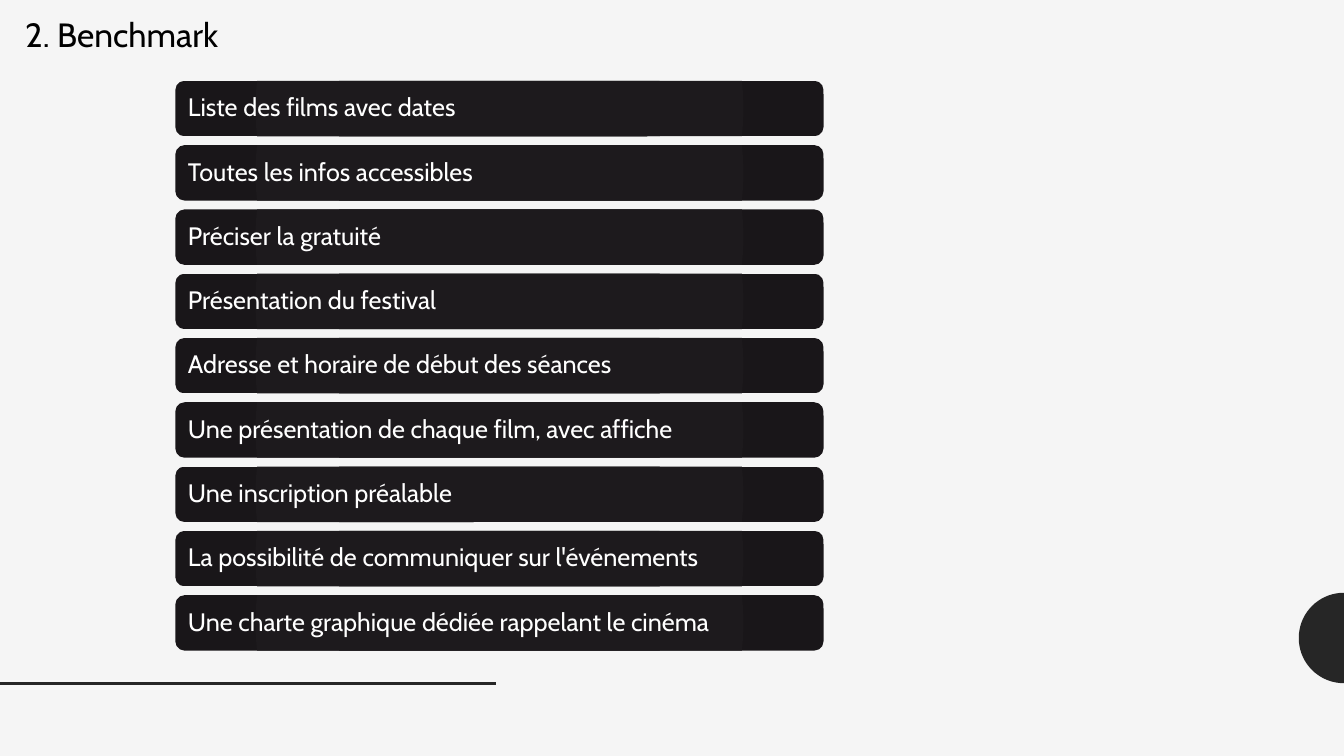
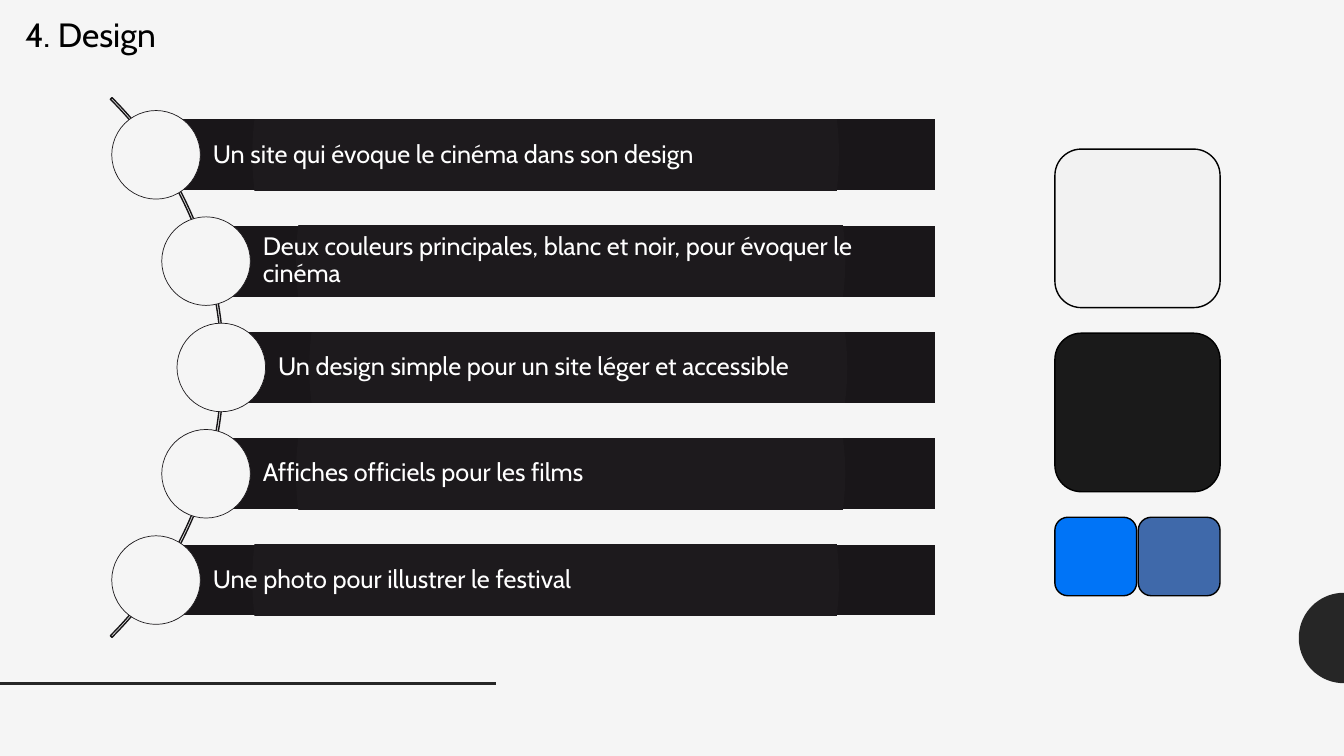
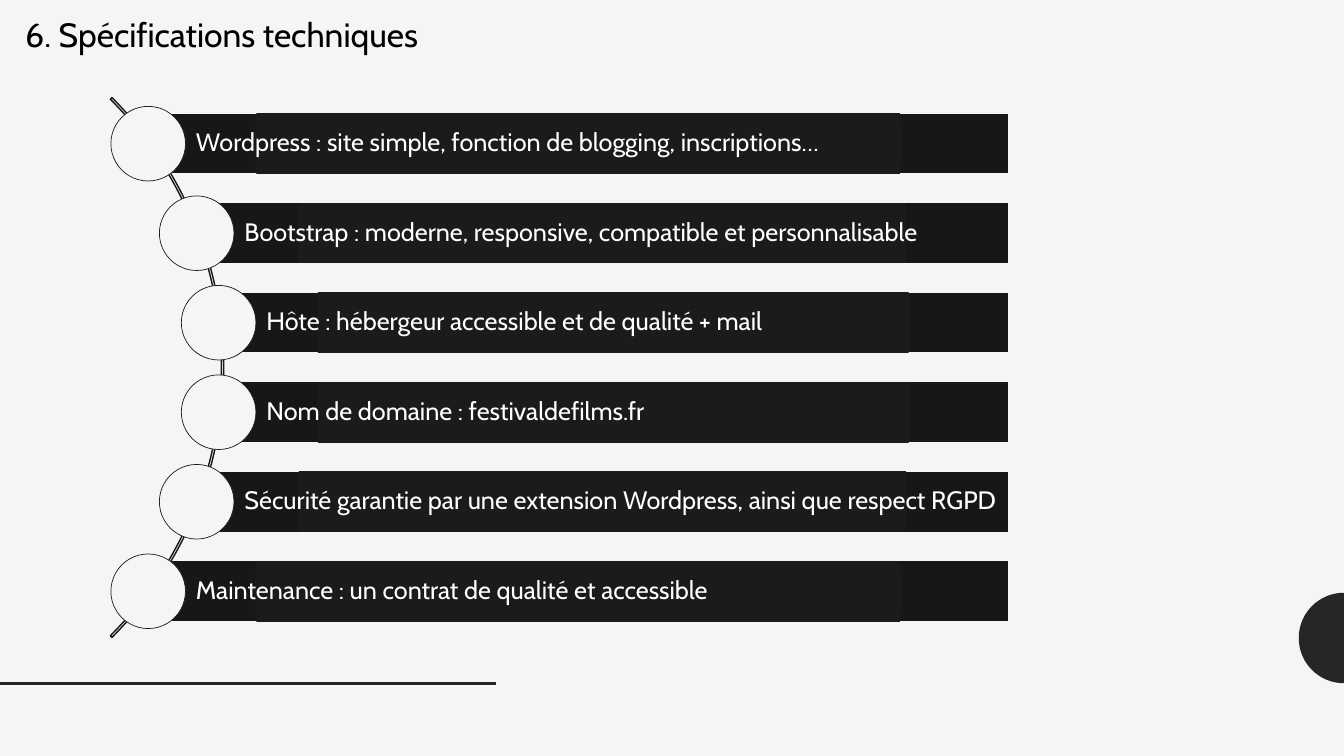
import math
from dataclasses import dataclass

from lxml import etree
from pptx import Presentation
from pptx.dml.color import RGBColor
from pptx.enum.shapes import MSO_CONNECTOR, MSO_SHAPE
from pptx.enum.text import MSO_ANCHOR, MSO_AUTO_SIZE, PP_ALIGN
from pptx.oxml import parse_xml
from pptx.oxml.ns import nsdecls, qn
from pptx.util import Pt

RECTANGLE = MSO_SHAPE.RECTANGLE
ROUNDED = MSO_SHAPE.ROUNDED_RECTANGLE
OVAL = MSO_SHAPE.OVAL
BLOCK_ARC = MSO_SHAPE.BLOCK_ARC
STRAIGHT = MSO_CONNECTOR.STRAIGHT
TOP, MIDDLE = MSO_ANCHOR.TOP, MSO_ANCHOR.MIDDLE
LEFT = PP_ALIGN.LEFT
NO_AUTOFIT = MSO_AUTO_SIZE.NONE
TITLE_ONLY = 5


@dataclass(frozen=True)
class Theme:
    font: str = "Cabin"
    title_size: int = 24
    body_size: int = 18
    background: str = "F5F5F5"
    accent: str = "262626"
    title: str = "000000"
    bar_text: str = "FFFFFF"
    bar_stops: tuple = ((0, "1E1A1E"), (50, "1D1A1D"), (100, "191619"))
    arc: str = "171517"
    node_line: str = "1D1A1D"
    swatch_line: str = "000000"


@dataclass(frozen=True)
class Box:
    left: float
    top: float
    width: float
    height: float

    @property
    def right(self):
        return self.left + self.width

    def lengths(self):
        return Pt(self.left), Pt(self.top), Pt(self.width), Pt(self.height)


THEME = Theme()
SLIDE = Box(0, 0, 960, 540)
TITLE = Box(10.8, 6.5, 474, 36)
BASELINE = 488


def color(value):
    return RGBColor.from_string(value)


def add_shape(slide, kind, box, fill=None, line=None, line_width=1):
    shape = slide.shapes.add_shape(kind, *box.lengths())
    shape.shadow.inherit = False
    if fill:
        shape.fill.solid()
        shape.fill.fore_color.rgb = color(fill)
    else:
        shape.fill.background()
    if line:
        shape.line.color.rgb = color(line)
        shape.line.width = Pt(line_width)
    else:
        shape.line.fill.background()
    return shape


def set_radial_fill(shape):
    """Replace the empty fill with the theme's circular gradient."""
    stops = "".join(
        f'<a:gs pos="{position * 1000}"><a:srgbClr val="{value}"/></a:gs>'
        for position, value in THEME.bar_stops)
    gradient = parse_xml(
        f'<a:gradFill {nsdecls("a")} rotWithShape="1"><a:gsLst>{stops}</a:gsLst>'
        '<a:path path="circle"><a:fillToRect l="100000" t="100000" '
        'r="100000" b="100000"/></a:path></a:gradFill>')
    properties = shape.element.spPr
    properties.replace(properties.find(qn("a:noFill")), gradient)


def format_text(frame, text, size, text_color, anchor):
    frame.text = text
    frame.word_wrap = True
    frame.auto_size = NO_AUTOFIT
    frame.vertical_anchor = anchor
    paragraph = frame.paragraphs[0]
    paragraph.alignment = LEFT
    paragraph.font.name = THEME.font
    paragraph.font.size = Pt(size)
    paragraph.font.color.rgb = color(text_color)
    return paragraph


def add_bar(slide, kind, box, text, inset_left, inset):
    bar = add_shape(slide, kind, box)
    set_radial_fill(bar)
    frame = bar.text_frame
    paragraph = format_text(frame, text, THEME.body_size, THEME.bar_text, MIDDLE)
    paragraph.line_spacing = 0.9
    frame.margin_left = Pt(inset_left)
    frame.margin_right = frame.margin_top = frame.margin_bottom = Pt(inset)


def add_titled_slide(presentation, text):
    slide = presentation.slides.add_slide(presentation.slide_layouts[TITLE_ONLY])
    title = slide.shapes.title
    title.left, title.top, title.width, title.height = TITLE.lengths()
    format_text(title.text_frame, text, THEME.title_size, THEME.title, TOP)
    return slide


def move_decoration_to_layout(slide):
    """Draw the half disc and the rule, then hand them to the shared layout."""
    radius = 32.3
    center = BASELINE - radius
    angles = [math.radians(90 + 5 * step) for step in range(37)]
    points = [(Pt(SLIDE.right + radius * math.cos(angle)),
               Pt(center + radius * math.sin(angle))) for angle in angles]
    builder = slide.shapes.build_freeform(*points[0])
    builder.add_line_segments(points[1:], close=True)
    half_disc = builder.convert_to_shape()
    half_disc.shadow.inherit = False
    half_disc.fill.solid()
    half_disc.fill.fore_color.rgb = color(THEME.accent)
    half_disc.line.fill.background()

    rule = slide.shapes.add_connector(
        STRAIGHT, Pt(0), Pt(BASELINE), Pt(354), Pt(BASELINE))
    rule.line.color.rgb = color(THEME.accent)
    rule.line.width = Pt(2)
    etree.SubElement(rule.element.spPr, qn("a:effectLst"))

    layout_tree = slide.slide_layout.shapes.element
    for number, shape in enumerate((half_disc, rule)):
        shape.element.find(".//" + qn("p:cNvPr")).set("id", str(101 + number))
        layout_tree.insert(2 + number, shape.element)


def add_stacked_list(slide, box, items):
    """Rounded bars of equal height that fill the box."""
    gap = 6.3
    height = (box.height - gap * (len(items) - 1)) / len(items)
    for index, text in enumerate(items):
        top = box.top + index * (height + gap)
        add_bar(slide, ROUNDED, Box(box.left, top, box.width, height), text, 7.2, 5)


def add_curved_list(slide, box, items):
    """Bars whose round nodes follow an arc bulging to the right."""
    radius = 0.673 * box.height
    center_x = box.left - radius * math.cos(math.radians(45))
    center_y = box.top + box.height / 2
    arc = add_shape(
        slide, BLOCK_ARC,
        Box(center_x - radius, center_y - radius, 2 * radius, 2 * radius),
        line=THEME.arc)
    # Angles from 315 to 45 degrees, then the band's thickness
    for index, value in enumerate((189, 27, 0.003)):
        arc.adjustments[index] = value

    # Gaps are half a bar high, above and below as well
    height = box.height / (1.5 * len(items) + 0.5)
    diameter = 1.25 * height
    node_radius = radius - 1.75
    for index, text in enumerate(items):
        offset = 1.5 * height * (index - (len(items) - 1) / 2)
        x = center_x + math.sqrt(node_radius ** 2 - offset ** 2)
        y = center_y + offset
        add_bar(slide, RECTANGLE, Box(x, y - height / 2, box.right - x, height),
                text, 0.8 * height, 3.6)
        add_shape(slide, OVAL,
                  Box(x - diameter / 2, y - diameter / 2, diameter, diameter),
                  THEME.background, THEME.node_line, 0.5)


def add_palette(slide, box, rows):
    """Rows of swatches; a row with more colours has smaller ones."""
    row_pitch, gap, ratio = 131.5, 1.2, 0.96
    for row_index, row in enumerate(rows):
        width = (box.width - gap * (len(row) - 1)) / len(row)
        for column, fill in enumerate(row):
            swatch = Box(box.left + column * (width + gap),
                         box.top + row_index * row_pitch, width, width * ratio)
            add_shape(slide, ROUNDED, swatch, fill, THEME.swatch_line)


def build_benchmark(presentation):
    slide = add_titled_slide(presentation, "2. Benchmark")
    add_stacked_list(slide, Box(125.25, 57.75, 463, 407), (
        "Liste des films avec dates",
        "Toutes les infos accessibles",
        "Préciser la gratuité",
        "Présentation du festival",
        "Adresse et horaire de début des séances",
        "Une présentation de chaque film, avec affiche",
        "Une inscription préalable",
        "La possibilité de communiquer sur l'événements",
        "Une charte graphique dédiée rappelant le cinéma",
    ))
    return slide


def build_design(presentation):
    slide = add_titled_slide(presentation, "4. Design")
    add_curved_list(slide, Box(80, 60, 588, 405), (
        "Un site qui évoque le cinéma dans son design",
        "Deux couleurs principales, blanc et noir, pour évoquer le cinéma",
        "Un design simple pour un site léger et accessible",
        "Affiches officiels pour les films",
        "Une photo pour illustrer le festival",
    ))
    add_palette(slide, Box(753.5, 106.5, 118, 319),
                (("F2F2F2",), ("1A1A1A",), ("0074F7", "3F69AA")))


def build_specifications(presentation):
    slide = add_titled_slide(presentation, "6. Spécifications techniques")
    add_curved_list(slide, Box(80, 60, 640, 405), (
        "Wordpress : site simple, fonction de blogging, inscriptions…",
        "Bootstrap : moderne, responsive, compatible et personnalisable",
        "Hôte : hébergeur accessible et de qualité + mail",
        "Nom de domaine : festivaldefilms.fr",
        "Sécurité garantie par une extension Wordpress, ainsi que respect RGPD",
        "Maintenance : un contrat de qualité et accessible",
    ))


def main():
    presentation = Presentation()
    presentation.slide_width, presentation.slide_height = SLIDE.lengths()[2:]
    background = presentation.slide_master.background.fill
    background.solid()
    background.fore_color.rgb = color(THEME.background)

    move_decoration_to_layout(build_benchmark(presentation))
    build_design(presentation)
    build_specifications(presentation)
    presentation.save("out.pptx")


if __name__ == "__main__":
    main()
